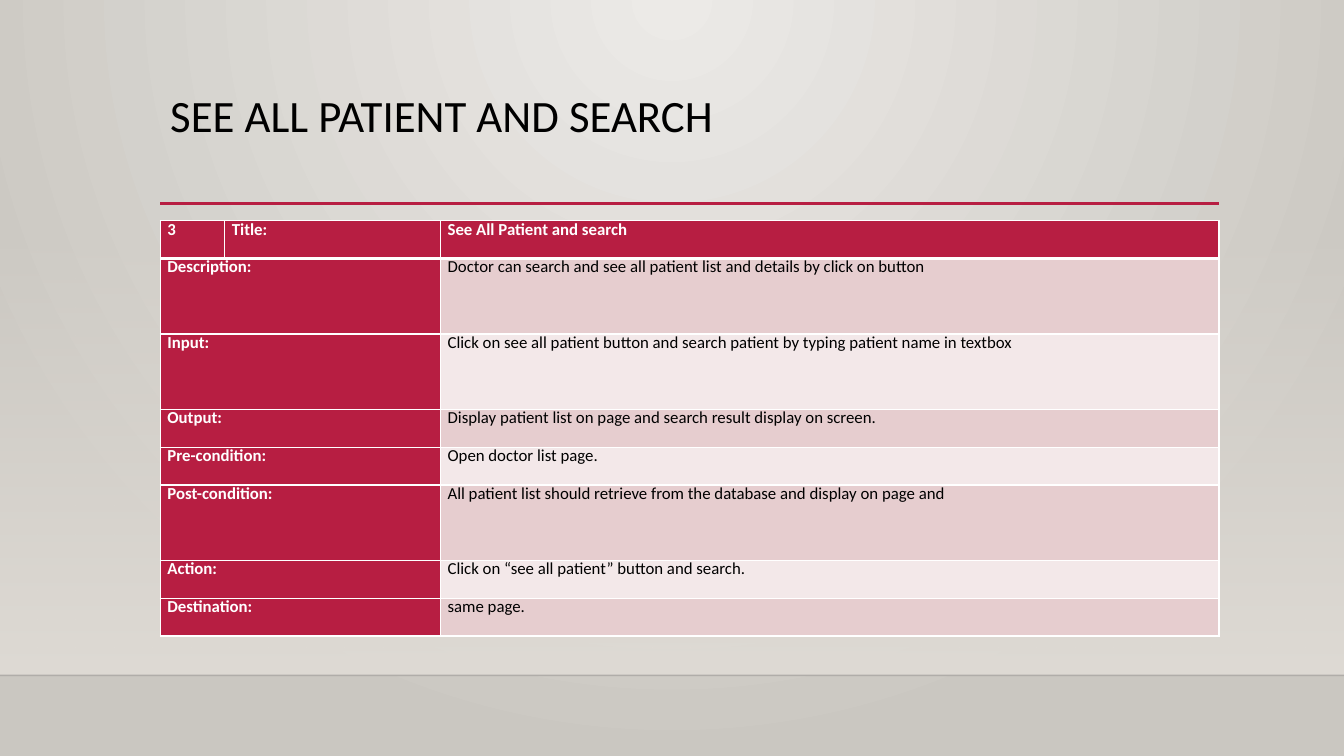
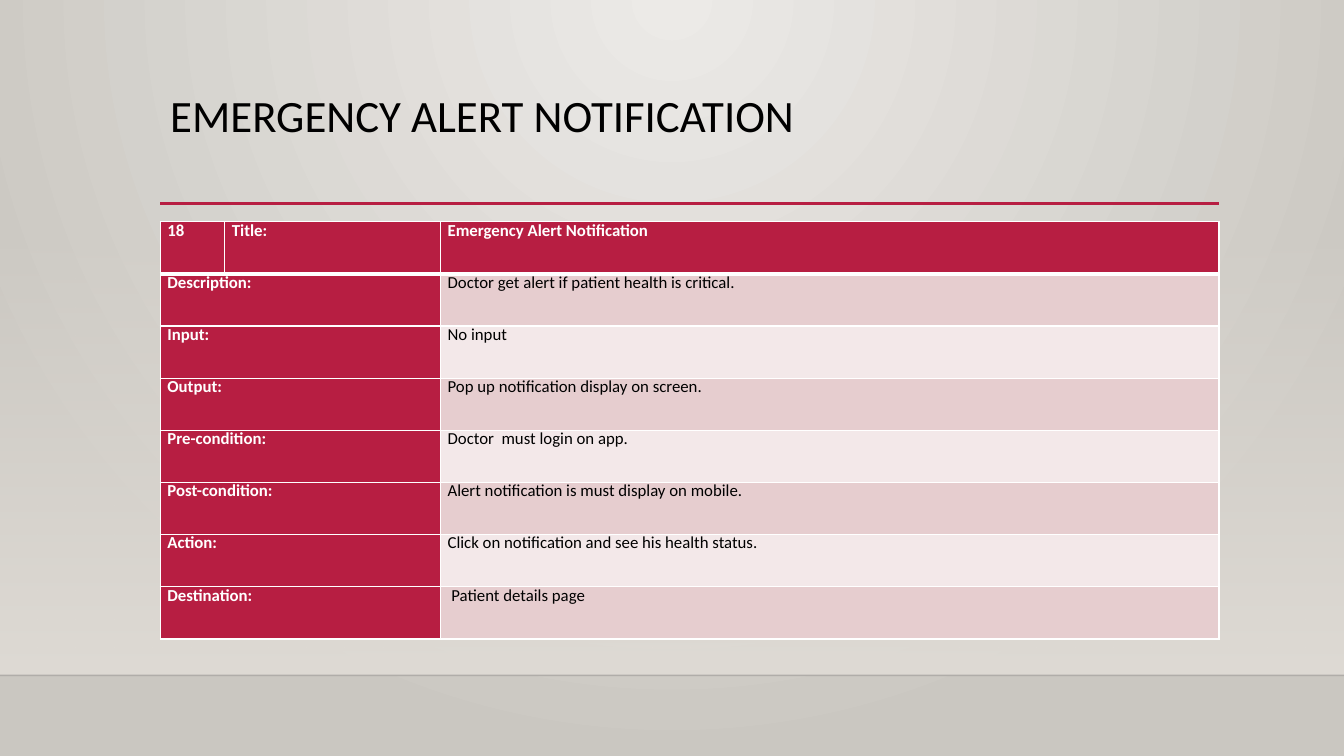
"""Build two use-case slides, each with a title and a specification table."""
from dataclasses import dataclass

from pptx import Presentation
from pptx.dml.color import RGBColor as Rgb
from pptx.enum.shapes import MSO_CONNECTOR as Connector, MSO_SHAPE as Shape
from pptx.enum.text import MSO_ANCHOR as Anchor, PP_ALIGN as Align
from pptx.oxml import parse_xml
from pptx.oxml.ns import nsdecls, qn
from pptx.util import Inches, Pt


@dataclass(frozen=True)
class Theme:
    font: str = "Calibri"
    accent: str = "B71E42"
    white: str = "FFFFFF"
    ink: str = "000000"
    rule: str = "000001"
    bands: tuple = ("E6CDCF", "F3E8E9")
    backdrop: tuple = (("ECEAE7", 100), ("CAC7C1", 100))
    glow: tuple = (("DFDBD5", 0), ("DFDBD5", 100))
    title_size: int = 32
    cell_size: int = 12
    cell_leading: float = 13.4
    cell_gap: int = 6


WIDTH, HEIGHT = 13.33, 7.5
LEFT, CONTENT_WIDTH = 1.59, 10.5
RULE_TOP, FLOOR_TOP, GLOW_TOP = 2.02, 6.7, 2.21
COLUMNS = (0.64, 2.14, 7.72)
LABELS = ("Title:", "Description:", "Input:", "Output:", "Pre-condition:",
          "Post-condition:", "Action:", "Destination:")
RADIAL = '<a:path path="circle"><a:fillToRect l="43000" r="43000" b="100000"/></a:path>'
DOWNWARD = '<a:lin ang="5400000" scaled="0"/>'

USE_CASES = (
    dict(heading="SEE ALL PATIENT AND SEARCH", number="3", top=2.19, height=4.12,
         weights=(1, 2, 2, 1, 1, 2, 1, 1),
         details=("See All Patient and search",
                  "Doctor can search and see all patient list and details by click on button",
                  "Click on see all patient button and search patient by typing patient name in textbox",
                  "Display patient list on page and search result display on screen.",
                  "Open doctor list page.",
                  "All patient list should retrieve from the database and display on page and",
                  "Click on “see all patient” button and search.",
                  "same page.")),
    dict(heading="EMERGENCY ALERT NOTIFICATION", number="18", top=2.2, height=4.14,
         weights=(1,) * 8,
         details=("Emergency Alert Notification",
                  "Doctor get alert if patient health is critical.",
                  "No input",
                  "Pop up notification display on screen.",
                  "Doctor  must login on app.",
                  "Alert notification is must display on mobile.",
                  "Click on notification and see his health status.",
                  " Patient details page")),
)


def gradient(stops, direction):
    marks = "".join(
        f'<a:gs pos="{position}"><a:srgbClr val="{color}">'
        f'<a:alpha val="{opacity * 1000}"/></a:srgbClr></a:gs>'
        for position, (color, opacity) in zip((0, 100000), stops))
    return (f'<a:gradFill {nsdecls("a")} rotWithShape="1">'
            f'<a:gsLst>{marks}</a:gsLst>{direction}</a:gradFill>')


class SlideBuilder:
    def __init__(self, deck, theme):
        self.deck, self.theme, self.page = deck, theme, None

    def start_page(self):
        self.page = self.deck.slides.add_slide(self.deck.slide_layouts[6])
        self.backdrop()
        self.glow()
        self.line(0, FLOOR_TOP, WIDTH, self.theme.rule, 1, opacity=20)
        self.line(LEFT, RULE_TOP, CONTENT_WIDTH, self.theme.accent, 2.5)

    def backdrop(self):
        fill = gradient(self.theme.backdrop, RADIAL)
        background = parse_xml(f'<p:bg {nsdecls("p", "a")}><p:bgPr>{fill}'
                               '<a:effectLst/></p:bgPr></p:bg>')
        self.page.element.find(qn("p:cSld")).insert(0, background)

    def glow(self):
        box = self.page.shapes.add_shape(
            Shape.RECTANGLE, 0, Inches(GLOW_TOP), Inches(WIDTH), Inches(FLOOR_TOP - GLOW_TOP))
        box.shadow.inherit = False
        box.line.fill.background()
        box.fill.background()
        properties = box.element.spPr
        properties.replace(properties.find(qn("a:noFill")),
                           parse_xml(gradient(self.theme.glow, DOWNWARD)))

    def line(self, left, top, width, color, weight, opacity=100):
        line = self.page.shapes.add_connector(
            Connector.STRAIGHT, Inches(left), Inches(top), Inches(left + width), Inches(top))
        line.line.color.rgb = Rgb.from_string(color)
        line.line.width = Pt(weight)
        properties = line.element.spPr
        for paint in properties.iter(qn("a:srgbClr")):
            paint.append(parse_xml(f'<a:alpha {nsdecls("a")} val="{opacity * 1000}"/>'))
        properties.append(parse_xml(f'<a:effectLst {nsdecls("a")}/>'))

    def style(self, para, size, color, bold=False):
        for span in para.runs:
            span.font.name = self.theme.font
            span.font.size = Pt(size)
            span.font.bold = bold
            span.font.color.rgb = Rgb.from_string(color)

    def title(self, text):
        box = self.page.shapes.add_textbox(
            Inches(LEFT), Inches(0.88), Inches(CONTENT_WIDTH), Inches(1.15))
        frame = box.text_frame
        frame.word_wrap = True
        frame.vertical_anchor = Anchor.TOP
        frame.text = text
        para = frame.paragraphs[0]
        para.line_spacing = 0.9
        self.style(para, self.theme.title_size, self.theme.ink)

    def borders(self, cell, top, bottom):
        sides = (("L", 1), ("R", 1), ("T", top), ("B", bottom))
        properties = cell._tc.get_or_add_tcPr()
        for index, (side, weight) in enumerate(sides):
            properties.insert(index, parse_xml(
                f'<a:ln{side} {nsdecls("a")} w="{Pt(weight)}"><a:solidFill>'
                f'<a:srgbClr val="{self.theme.white}"/></a:solidFill></a:ln{side}>'))

    def cell(self, cell, text, fill, color, bold):
        cell.fill.solid()
        cell.fill.fore_color.rgb = Rgb.from_string(fill)
        cell.margin_left = cell.margin_right = Inches(0.07)
        cell.margin_top = cell.margin_bottom = 0
        cell.text_frame.text = text
        para = cell.text_frame.paragraphs[0]
        para.alignment = Align.JUSTIFY
        para.line_spacing = Pt(self.theme.cell_leading)
        para.space_after = Pt(self.theme.cell_gap)
        self.style(para, self.theme.cell_size, color, bold)

    def table(self, number, top, height, weights, details):
        theme = self.theme
        table = self.page.shapes.add_table(
            len(LABELS), len(COLUMNS), Inches(LEFT), Inches(top),
            Inches(CONTENT_WIDTH), Inches(height)).table
        table.first_row = table.horz_banding = False
        for column, width in zip(table.columns, COLUMNS):
            column.width = Inches(width)
        for index, (label, detail) in enumerate(zip(LABELS, details)):
            row = table.rows[index]
            row.height = Inches(height * weights[index] / sum(weights))
            header = index == 0
            texts = (number, label, detail) if header else (label, "", detail)
            for position, (cell, text) in enumerate(zip(row.cells, texts)):
                strong = header or position < 2
                fill = theme.accent if strong else theme.bands[(index - 1) % 2]
                self.cell(cell, text, fill, theme.white if strong else theme.ink, strong)
                self.borders(cell, 3 if index == 1 else 1, 3 if header else 1)
            if not header:
                table.cell(index, 0).merge(table.cell(index, 1))


def main():
    deck = Presentation()
    deck.slide_width, deck.slide_height = Inches(WIDTH), Inches(HEIGHT)
    builder = SlideBuilder(deck, Theme())
    for case in USE_CASES:
        builder.start_page()
        builder.title(case["heading"])
        builder.table(case["number"], case["top"], case["height"],
                      case["weights"], case["details"])
    deck.save("out.pptx")


if __name__ == "__main__":
    main()
